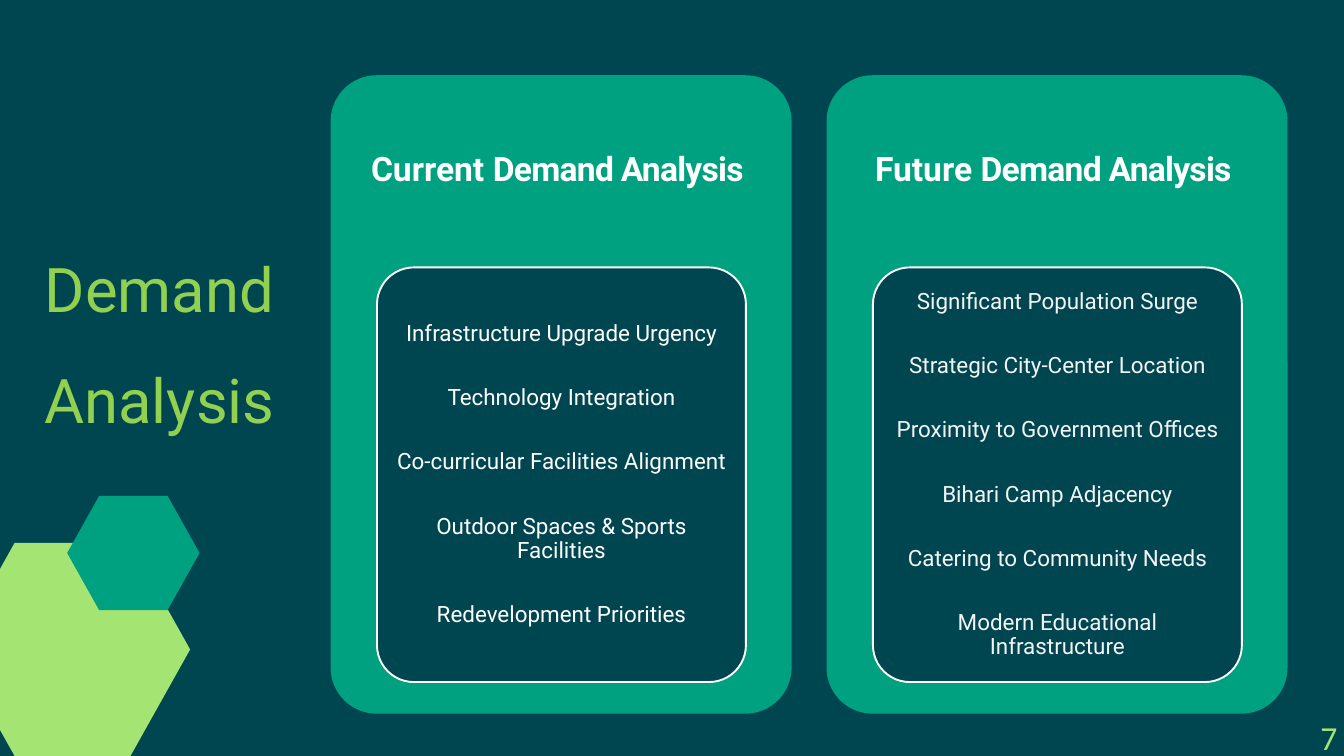
from dataclasses import dataclass

from lxml.etree import SubElement
from pptx import Presentation
from pptx.dml.color import RGBColor as Rgb
from pptx.enum.shapes import MSO_SHAPE as Kind
from pptx.enum.text import MSO_ANCHOR as Anchor, MSO_AUTO_SIZE as Fit, PP_ALIGN as Align
from pptx.oxml.ns import qn
from pptx.util import Inches, Pt


@dataclass(frozen=True)
class Theme:
    """Colours, fonts and type sizes of the slide."""
    dark: str = "004651"
    green: str = "00A181"
    lime: str = "A4E473"
    leaf: str = "92D050"
    white: str = "FFFFFF"
    pale: str = "F4F4F4"
    font: str = "Roboto"
    num_font: str = "Calibri"
    title: int = 66
    head: int = 36
    item: int = 24


THEME = Theme()
CARDS = [
    ("Current ", THEME.white, [
        "Infrastructure Upgrade Urgency", "Technology Integration",
        "Co-curricular Facilities Alignment",
        "Outdoor Spaces & Sports Facilities", "Redevelopment Priorities"]),
    ("Future ", THEME.pale, [
        "Significant Population Surge", "Strategic City-Center Location",
        "Proximity to Government Offices", "Bihari Camp Adjacency",
        "Catering to Community Needs", "Modern Educational Infrastructure"]),
]


def add_block(slide, kind, box, fill, adj, line=None):
    """Add a filled preset shape."""
    shape = slide.shapes.add_shape(kind, *map(Inches, box))
    shape.adjustments[0] = adj
    shape.shadow.inherit = False
    shape.fill.solid()
    shape.fill.fore_color.rgb = Rgb.from_string(fill)
    if line:
        shape.line.color.rgb = Rgb.from_string(line)
        shape.line.width = Pt(2)
    else:
        shape.line.fill.background()


def set_frame(shape, box, anchor, pad=(0, 0)):
    """Place a text shape in front and set up its frame."""
    shape.left, shape.top, shape.width, shape.height = map(Inches, box)
    tree = shape.element.getparent()
    tree.append(shape.element)
    frame = shape.text_frame
    frame.word_wrap = True
    frame.auto_size = Fit.NONE
    frame.vertical_anchor = anchor
    frame.margin_left = frame.margin_right = Inches(pad[0])
    frame.margin_top = frame.margin_bottom = Inches(pad[1])
    return frame


def style(para, size, color, font=THEME.font, bold=False, align=Align.CENTER,
          lead=0.9, before=0):
    """Format a paragraph without a bullet, and its runs."""
    props = para._p.get_or_add_pPr()
    props.set("marL", "0")
    props.set("indent", "0")
    SubElement(props, qn("a:buNone"))
    para.alignment = align
    para.line_spacing = lead
    para.space_before = Pt(before)
    para.space_after = Pt(0)
    for run in para.runs:
        run.font.name = font
        run.font.size = Pt(size)
        run.font.bold = bold
        run.font.color.rgb = Rgb.from_string(color)


def add_card(slide, left, head, body, card):
    """Add one card with its heading and its list panel."""
    word, color, items = card
    add_block(slide, Kind.ROUNDED_RECTANGLE, (left, 1.12, 6.86, 9.5), THEME.green, 0.1)
    add_block(slide, Kind.ROUNDED_RECTANGLE, (left + 0.69, 3.98, 5.49, 6.17),
              THEME.dark, 0.1, THEME.white)
    frame = set_frame(head, (left, 1.12, 6.86, 2.85), Anchor.MIDDLE, (0.15, 0.15))
    para = frame.paragraphs[0]
    para.text = word
    tail = para.add_run()
    tail.text = "Demand Analysis "
    style(para, THEME.head, THEME.white, bold=True)
    tail.font._element.set("spc", "-80")
    frame = set_frame(body, (left + 0.85, 4.14, 5.17, 5.85), Anchor.MIDDLE, (0.07, 0.05))
    frame.text = "\n".join(items)
    for i, para in enumerate(frame.paragraphs):
        style(para, THEME.item, color, before=43 if i else 0)


def add_title(slide):
    """Fill the title placeholder."""
    frame = set_frame(slide.shapes.title, (-0.5, 3.18, 5.75, 3.16), Anchor.TOP)
    frame.text = "Demand Analysis"
    style(frame.paragraphs[0], THEME.title, THEME.leaf, lead=1.5)


def add_number(slide):
    """Add the slide number in the bottom corner."""
    box = (16.08, 10.7, 3.92, 0.55)
    shape = slide.shapes.add_textbox(*map(Inches, box))
    frame = set_frame(shape, box, Anchor.MIDDLE, (0.1, 0))
    frame.text = "7"
    style(frame.paragraphs[0], THEME.head, THEME.lime, THEME.num_font,
          align=Align.RIGHT, lead=1.0)


def main():
    """Build and save the slide."""
    deck = Presentation()
    deck.slide_width, deck.slide_height = Inches(20), Inches(11.25)
    slide = deck.slides.add_slide(deck.slide_layouts.get_by_name("Comparison"))
    slide.background.fill.solid()
    slide.background.fill.fore_color.rgb = Rgb.from_string(THEME.dark)
    add_block(slide, Kind.HEXAGON, (-0.67, 8.08, 3.5, 3.17), THEME.lime, 0.28)
    add_block(slide, Kind.HEXAGON, (1, 7.38, 1.97, 1.7), THEME.green, 0.28)
    slots = list(slide.placeholders)[1:]
    for i, card in enumerate(CARDS):
        add_card(slide, 4.92 + 7.38 * i, slots[2 * i], slots[2 * i + 1], card)
    add_title(slide)
    add_number(slide)
    deck.save("out.pptx")


if __name__ == "__main__":
    main()
